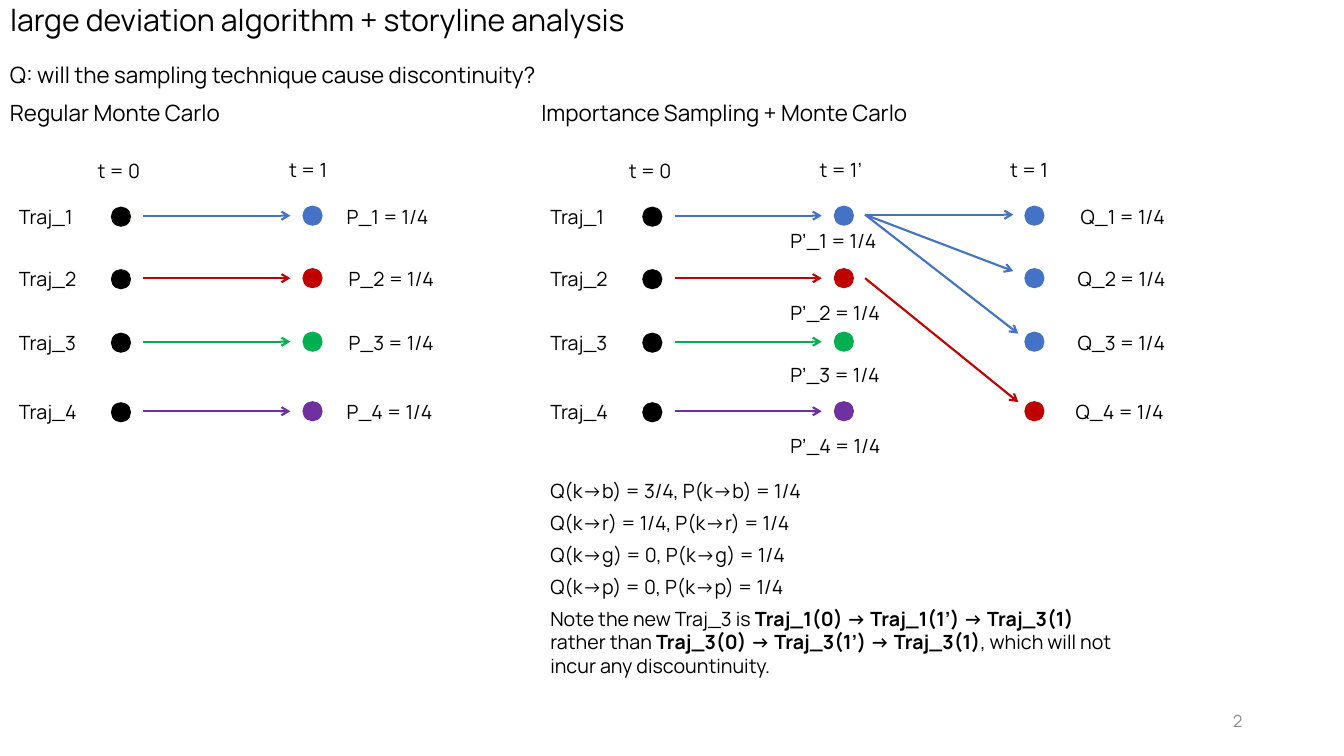
from dataclasses import dataclass

from lxml import etree
from pptx import Presentation
from pptx.dml.color import RGBColor
from pptx.enum.shapes import MSO_CONNECTOR, MSO_SHAPE
from pptx.enum.text import MSO_ANCHOR, MSO_AUTO_SIZE, PP_ALIGN
from pptx.oxml.ns import qn
from pptx.util import Pt

PX = 9144  # 100 px to the inch
STRAIGHT = MSO_CONNECTOR.STRAIGHT
OVAL = MSO_SHAPE.OVAL
MIDDLE, TOP = MSO_ANCHOR.MIDDLE, MSO_ANCHOR.TOP
LEFT, RIGHT = PP_ALIGN.LEFT, PP_ALIGN.RIGHT
NO_FIT = MSO_AUTO_SIZE.NONE

FONT = "Manrope"
BLACK, GREY = "000000", "8C8C8C"
BLUE, RED, GREEN, PURPLE = "4472C4", "C00000", "00B050", "7030A0"
TRAJECTORY_COLORS = (BLUE, RED, GREEN, PURPLE)
RESAMPLED_COLORS = (BLUE, BLUE, BLUE, RED)
ROWS = (214, 276, 339, 408)  # centre line of each trajectory
PANELS = (0, 527)            # left edge of each panel
DOT = 20

NOTES = (
    (("Q(k->b) = 3/4, P(k->b) = 1/4", False),),
    (("Q(k->r) = 1/4, P(k->r) = 1/4", False),),
    (("Q(k->g) = 0, P(k->g) = 1/4", False),),
    (("Q(k->p) = 0, P(k->p) = 1/4", False),),
    (("Note the new Traj_3 is ", False),
     ("Traj_1(0) -> Traj_1(1’) -> Traj_3(1) ", True),
     ("rather than ", False),
     ("Traj_3(0) -> Traj_3(1’) -> Traj_3(1)", True),
     (", which will not incur any discountinuity.", False)),
)


@dataclass
class Label:
    text: str
    x: int
    y: int
    w: int
    h: int = 34
    size: float = 14
    color: str = BLACK
    align: PP_ALIGN = LEFT
    anchor: MSO_ANCHOR = TOP


@dataclass
class Dot:
    x: int
    y: int
    color: str


@dataclass
class Arrow:
    x1: int
    y1: int
    x2: int
    y2: int
    color: str


def rgb(color: str) -> RGBColor:
    return RGBColor.from_string(color)


def format_font(font, size: float, color: str, bold: bool = False) -> None:
    font.name = FONT
    font.size = Pt(size)
    font.bold = bold
    font.color.rgb = rgb(color)


def place(sp, x: int, y: int, w: int, h: int) -> None:
    sp.left, sp.top, sp.width, sp.height = x * PX, y * PX, w * PX, h * PX


def add_box(slide, x: int, y: int, w: int, h: int):
    tf = slide.shapes.add_textbox(x * PX, y * PX, w * PX, h * PX).text_frame
    tf.word_wrap = True
    return tf


def draw_label(slide, label: Label) -> None:
    tf = add_box(slide, label.x, label.y, label.w, label.h)
    tf.vertical_anchor = label.anchor
    p = tf.paragraphs[0]
    p.text = label.text
    p.alignment = label.align
    format_font(p.runs[0].font, label.size, label.color)


def draw_dot(slide, dot: Dot) -> None:
    sp = slide.shapes.add_shape(OVAL, dot.x * PX, dot.y * PX, DOT * PX, DOT * PX)
    sp.shadow.inherit = False
    sp.fill.solid()
    sp.fill.fore_color.rgb = rgb(dot.color)
    sp.line.fill.background()


def draw_arrow(slide, arrow: Arrow) -> None:
    line = slide.shapes.add_connector(
        STRAIGHT, arrow.x1 * PX, arrow.y1 * PX, arrow.x2 * PX, arrow.y2 * PX)
    line.line.color.rgb = rgb(arrow.color)
    line.line.width = Pt(1.5)
    etree.SubElement(line.line._get_or_add_ln(), qn("a:tailEnd"), type="arrow")
    etree.SubElement(line._element.spPr, qn("a:effectLst"))


def draw_title(slide, text: str) -> None:
    title = slide.shapes.title
    place(title, 0, 0, 723, 44)
    tf = title.text_frame
    tf.text = text
    tf.auto_size = NO_FIT
    tf.vertical_anchor = MIDDLE
    p = tf.paragraphs[0]
    p.alignment = LEFT
    p.line_spacing = 0.9
    format_font(p.runs[0].font, 21.6, BLACK)


def draw_panel(slide, left: int, heading: str, end_time: str, end_x: int) -> None:
    """Draw four trajectories from t = 0 to the first sampled time."""
    draw_label(slide, Label(heading, left, 93, 671, 37, 16))
    draw_label(slide, Label("t = 0", left + 87, 153, 67))
    draw_label(slide, Label(end_time, left + end_x, 152, 67))
    for i, (y, color) in enumerate(zip(ROWS, TRAJECTORY_COLORS), start=1):
        draw_label(slide, Label(f"Traj_{i}", left + 9, y - 16, 87))
        draw_dot(slide, Dot(left + 110, y - 9, BLACK))
        draw_arrow(slide, Arrow(left + 142, y, left + 288, y, color))
        draw_dot(slide, Dot(left + 300, y - 10, color))


def draw_resampling(slide) -> None:
    """Draw the step from t = 1' to t = 1."""
    draw_label(slide, Label("t = 1", 992, 152, 67))
    for y, color in zip(ROWS, RESAMPLED_COLORS):
        draw_dot(slide, Dot(1016, y - 10, color))
    for arrow in (Arrow(858, 213, 1005, 213, BLUE),
                  Arrow(858, 213, 1005, 269, BLUE),
                  Arrow(858, 213, 1010, 331, BLUE),
                  Arrow(858, 276, 1010, 399, RED)):
        draw_arrow(slide, arrow)


def draw_probabilities(slide) -> None:
    p_lefts = (334, 336, 336, 334)
    q_lefts = (1062, 1059, 1059, 1057)
    prime_tops = (222, 294, 355, 426)
    columns = zip(ROWS, p_lefts, q_lefts, prime_tops)
    for i, (y, p_left, q_left, prime_top) in enumerate(columns, start=1):
        draw_label(slide, Label(f"P_{i} = 1/4", p_left, y - 16, 124))
        draw_label(slide, Label(f"P’_{i} = 1/4", 774, prime_top, 121))
        draw_label(slide, Label(f"Q_{i} = 1/4", q_left, y - 16, 122))


def draw_notes(slide) -> None:
    tf = add_box(slide, 536, 470, 583, 209)
    for i, runs in enumerate(NOTES):
        p = tf.add_paragraph() if i else tf.paragraphs[0]
        p.space_after = Pt(6)
        for text, bold in runs:
            r = p.add_run()
            r.text = text
            format_font(r.font, 14, BLACK, bold)


def main() -> None:
    prs = Presentation()
    prs.slide_width, prs.slide_height = 1333 * PX, 750 * PX
    slide = prs.slides.add_slide(prs.slide_layouts[5])
    draw_title(slide, "large deviation algorithm + storyline analysis")
    draw_label(slide, Label("Q: will the sampling technique cause discontinuity?",
                            0, 56, 671, 37, 16))
    draw_panel(slide, PANELS[0], "Regular Monte Carlo", "t = 1", 277)
    draw_panel(slide, PANELS[1], "Importance Sampling + Monte Carlo", "t = 1’", 276)
    draw_resampling(slide)
    draw_probabilities(slide)
    draw_notes(slide)
    draw_label(slide, Label("2", 942, 695, 300, 40, 12, GREY, RIGHT, MIDDLE))
    prs.save("out.pptx")


if __name__ == "__main__":
    main()
